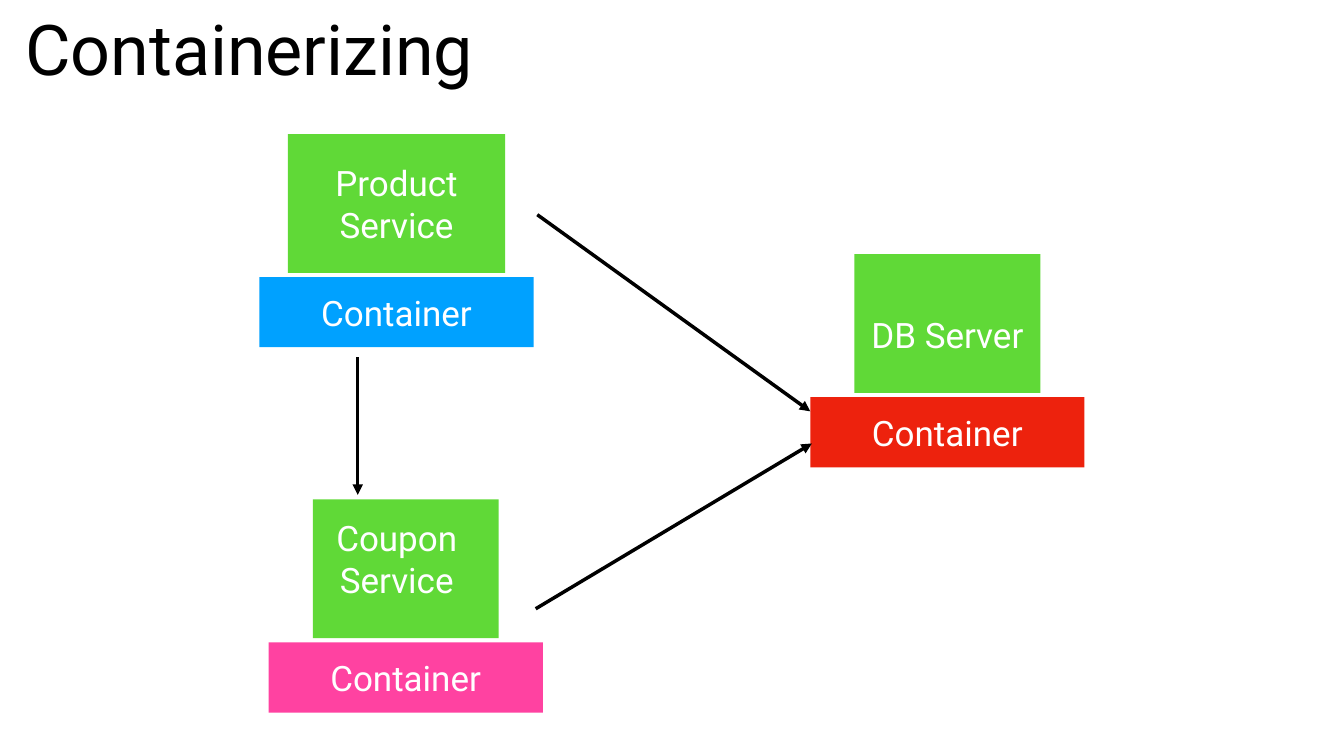
"""Build the slide of three services on containers, linked by arrows."""
from dataclasses import dataclass

from lxml import etree
from pptx import Presentation
from pptx.dml.color import RGBColor
from pptx.enum.shapes import MSO_CONNECTOR, MSO_SHAPE
from pptx.enum.text import MSO_ANCHOR, MSO_AUTO_SIZE, PP_ALIGN
from pptx.oxml.ns import qn
from pptx.shapes.autoshape import Shape
from pptx.slide import Slide
from pptx.util import Cm, Pt

RECTANGLE = MSO_SHAPE.RECTANGLE
STRAIGHT = MSO_CONNECTOR.STRAIGHT
MIDDLE = MSO_ANCHOR.MIDDLE
NO_AUTOFIT = MSO_AUTO_SIZE.NONE
LEFT, CENTER = PP_ALIGN.LEFT, PP_ALIGN.CENTER

BLACK = RGBColor(0x00, 0x00, 0x00)
WHITE = RGBColor(0xFF, 0xFF, 0xFF)
GREEN = RGBColor(0x60, 0xD9, 0x37)
BLUE = RGBColor(0x00, 0xA1, 0xFF)
RED = RGBColor(0xED, 0x22, 0x0D)
PINK = RGBColor(0xFF, 0x42, 0xA1)

FONT = "Roboto"
CONTAINER_WIDTH, CONTAINER_HEIGHT = 13.82, 3.53
SERVICE_HEIGHT, SERVICE_GAP = 6.99, 0.22
INSET = Cm(0.15)
FRAME_FORMAT = {
    "auto_size": NO_AUTOFIT,
    "vertical_anchor": MIDDLE,
    "margin_left": INSET,
    "margin_right": INSET,
    "margin_top": INSET,
    "margin_bottom": INSET,
}


@dataclass(frozen=True)
class Box:
    """A rectangular area in centimetres."""
    left: float
    top: float
    width: float
    height: float

    def lengths(self) -> tuple[Cm, Cm, Cm, Cm]:
        """Return the area as slide lengths."""
        return Cm(self.left), Cm(self.top), Cm(self.width), Cm(self.height)


@dataclass(frozen=True)
class Deployment:
    """A service standing centred on its container."""
    service: str
    left: float
    top: float
    color: RGBColor
    service_width: float = 9.37
    label: Box | None = None

    def container_box(self) -> Box:
        """Return the area of the container."""
        return Box(self.left, self.top, CONTAINER_WIDTH, CONTAINER_HEIGHT)

    def service_box(self) -> Box:
        """Return the area of the service above the container."""
        return Box(
            self.left + (CONTAINER_WIDTH - self.service_width) / 2,
            self.top - SERVICE_GAP - SERVICE_HEIGHT,
            self.service_width,
            SERVICE_HEIGHT,
        )


@dataclass(frozen=True)
class Call:
    """An arrow from a caller to the called service, in centimetres."""
    start: tuple[float, float]
    end: tuple[float, float]


DEPLOYMENTS = (
    Deployment("DB Server", 40.84, 20.02, RED, label=Box(43.46, 15.65, 8.59, 2.39)),
    Deployment("Coupon\nService", 13.54, 32.38, PINK, label=Box(16.61, 25.88, 6.78, 4.55)),
    Deployment("Product\nService", 13.08, 13.97, BLUE, service_width=10.95),
)
CALLS = (
    Call((27, 30.68), (40.92, 22.35)),
    Call((27.08, 10.82), (40.84, 20.73)),
    Call((18.03, 18.01), (18.03, 24.94)),
)


def write(shape: Shape, text: str, size: int, color: RGBColor,
          alignment: PP_ALIGN, line_spacing: float = 1.0, wrap: bool = False) -> None:
    """Fill a shape with formatted text."""
    frame = shape.text_frame
    frame.text = text
    for name, value in FRAME_FORMAT.items():
        setattr(frame, name, value)
    frame.word_wrap = wrap
    paragraph_format = {
        "alignment": alignment, "line_spacing": line_spacing, "space_before": Pt(0),
    }
    for paragraph in frame.paragraphs:
        for name, value in paragraph_format.items():
            setattr(paragraph, name, value)
        for run in paragraph.runs:
            for name, value in {"name": FONT, "size": Pt(size)}.items():
                setattr(run.font, name, value)
            run.font.color.rgb = color


def add_block(slide: Slide, box: Box, color: RGBColor) -> Shape:
    """Add a plain filled rectangle."""
    block = slide.shapes.add_shape(RECTANGLE, *box.lengths())
    block.shadow.inherit = False
    block.fill.solid()
    block.fill.fore_color.rgb = color
    block.line.fill.background()
    return block


def add_deployment(slide: Slide, deployment: Deployment) -> None:
    """Add a container, its service and the service's label."""
    container = add_block(slide, deployment.container_box(), deployment.color)
    write(container, "Container", 50, WHITE, CENTER, wrap=True)
    service = add_block(slide, deployment.service_box(), GREEN)
    if deployment.label:
        service = slide.shapes.add_textbox(*deployment.label.lengths())
    write(service, deployment.service, 50, WHITE, CENTER)


def add_call(slide: Slide, call: Call) -> None:
    """Add an arrow for a call between services."""
    points = (Cm(value) for value in (*call.start, *call.end))
    arrow = slide.shapes.add_connector(STRAIGHT, *points)
    arrow.line.color.rgb = BLACK
    arrow.line.width = Pt(5)
    outline = arrow.line._get_or_add_ln()
    etree.SubElement(outline, qn("a:tailEnd"), type="triangle")
    etree.SubElement(arrow._element.spPr, qn("a:effectLst"))


def add_title(slide: Slide, text: str) -> None:
    """Place and format the slide title."""
    title = slide.shapes.title
    title.left, title.top, title.width, title.height = Box(1.12, 0.46, 23, 4.39).lengths()
    write(title, text, 100, BLACK, LEFT, line_spacing=0.9)


def main() -> None:
    """Build and save the presentation."""
    presentation = Presentation()
    presentation.slide_width, presentation.slide_height = Cm(67.74), Cm(38.1)
    slide = presentation.slides.add_slide(presentation.slide_layouts[5])
    add_title(slide, "Containerizing")
    for deployment in DEPLOYMENTS:
        add_deployment(slide, deployment)
    for call in CALLS:
        add_call(slide, call)
    presentation.save("out.pptx")


main()
